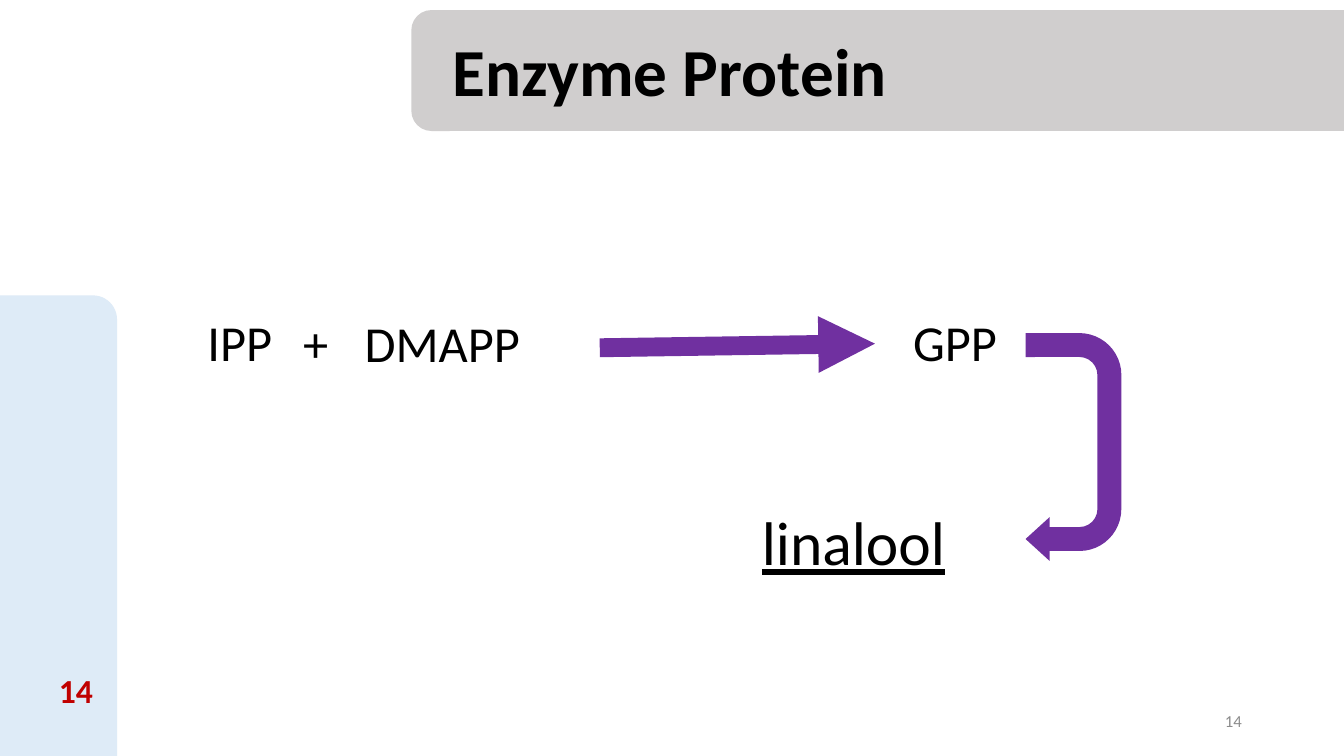
from lxml import etree
from pptx import Presentation
from pptx.dml.color import RGBColor
from pptx.enum.shapes import MSO_CONNECTOR, MSO_SHAPE
from pptx.enum.text import MSO_ANCHOR, MSO_AUTO_SIZE, PP_ALIGN
from pptx.oxml.ns import qn
from pptx.util import Pt

ROUNDED, UTURN = MSO_SHAPE.ROUNDED_RECTANGLE, MSO_SHAPE.U_TURN_ARROW
STRAIGHT = MSO_CONNECTOR.STRAIGHT
TOP, MIDDLE = MSO_ANCHOR.TOP, MSO_ANCHOR.MIDDLE
LEFT, RIGHT = PP_ALIGN.LEFT, PP_ALIGN.RIGHT
NO_AUTOFIT = MSO_AUTO_SIZE.NONE

FONT = "Calibri"
COLORS = {
    "banner": "D0CECE",
    "sidebar": "DEEBF7",
    "arrow": "7030A0",
    "text": "000000",
    "badge": "C00000",
    "number": "8C8C8C",
}


def rgb(name):
    return RGBColor.from_string(COLORS[name])


def write(sp, text, size, color="text", bold=False, underline=False, align=LEFT, anchor=TOP):
    tf = sp.text_frame
    tf.word_wrap = True
    tf.auto_size = NO_AUTOFIT
    tf.vertical_anchor = anchor
    p = tf.paragraphs[0]
    p.text = text
    p.alignment = align
    font = p.font
    font.name, font.size = FONT, Pt(size)
    font.bold, font.underline = bold, underline
    font.color.rgb = rgb(color)


def add_title(s, x, y, w, h, text):
    sp = s.shapes.title
    sp.left, sp.top, sp.width, sp.height = Pt(x), Pt(y), Pt(w), Pt(h)
    write(sp, text, 48, bold=True)
    s.shapes._spTree.append(sp._element)


def add_label(s, x, y, w, h, text, size, **style):
    sp = s.shapes.add_textbox(Pt(x), Pt(y), Pt(w), Pt(h))
    write(sp, text, size, **style)


def add_filled(s, kind, x, y, w, h, color):
    sp = s.shapes.add_shape(kind, Pt(x), Pt(y), Pt(w), Pt(h))
    sp.shadow.inherit = False
    sp.fill.solid()
    sp.fill.fore_color.rgb = rgb(color)
    sp.line.fill.background()
    return sp


def add_uturn(s, x, y, w, h, adjustments):
    sp = add_filled(s, UTURN, x, y, w, h, "arrow")
    sp.rotation = 90
    for i, value in enumerate(adjustments):
        sp.adjustments[i] = value


def add_arrow(s, x1, y1, x2, y2, width):
    cx = s.shapes.add_connector(STRAIGHT, Pt(x1), Pt(y1), Pt(x2), Pt(y2))
    cx.line.width = Pt(width)
    cx.line.color.rgb = rgb("arrow")
    etree.SubElement(cx.line._get_or_add_ln(), qn("a:tailEnd"), type="triangle")
    etree.SubElement(cx._element.spPr, qn("a:effectLst"))


def main():
    prs = Presentation()
    prs.slide_width, prs.slide_height = Pt(960), Pt(540)
    s = prs.slides.add_slide(prs.slide_layouts[5])

    add_filled(s, ROUNDED, 293.8, 7.2, 685.4, 86.4, "banner")
    add_filled(s, ROUNDED, -19.4, 211, 103, 348.5, "sidebar")
    add_title(s, 316.1, 17.3, 496.8, 65.5, "Enzyme Protein")

    number = {"align": RIGHT, "anchor": MIDDLE}
    add_label(s, 0, 478.8, 73.4, 28.8, "14", 24, color="badge", bold=True, **number)
    add_label(s, 678.2, 500.4, 216, 28.8, "14", 12, color="number", **number)

    for text, x, y, w in (
        ("IPP", 141.1, 218.9, 64.8),
        ("+", 209.5, 219.6, 33.8),
        ("DMAPP", 253.4, 219.6, 133.9),
        ("GPP", 645.1, 218.9, 150.5),
    ):
        add_label(s, x, y, w, 51.1, text, 36)
    add_label(s, 537.1, 356.4, 163.4, 60.5, "linalool", 44, underline=True)

    add_arrow(s, 428.4, 248.4, 625, 245.5, 13.5)
    add_uturn(s, 685.4, 285.1, 162.7, 68.4, (0.25, 0.228, 0.25, 0.438, 1))

    prs.save("out.pptx")


if __name__ == "__main__":
    main()
